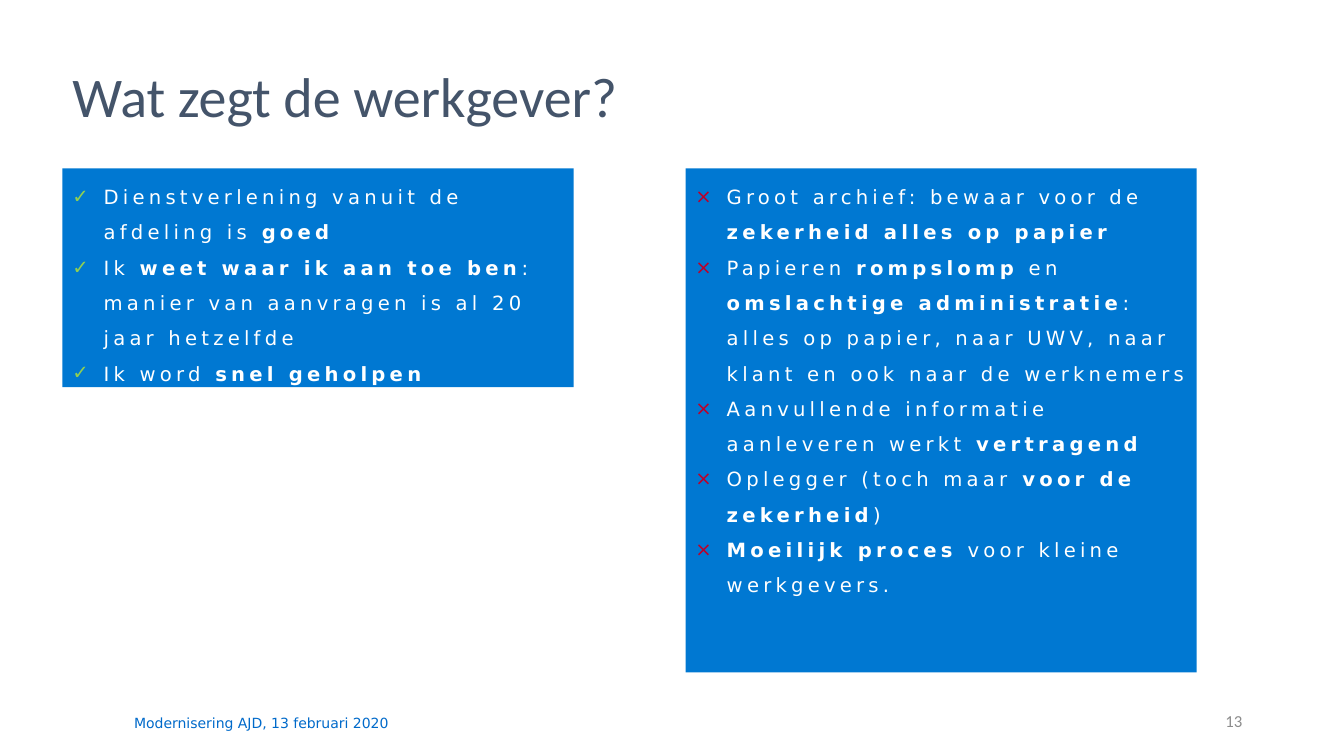
from dataclasses import dataclass

from lxml.etree import SubElement
from pptx import Presentation
from pptx.dml.color import RGBColor
from pptx.enum.shapes import MSO_SHAPE
from pptx.enum.text import MSO_ANCHOR, PP_ALIGN
from pptx.oxml.ns import qn
from pptx.slide import Slide
from pptx.text.text import TextFrame, _Paragraph
from pptx.util import Emu, Pt

SCALE = 9144  # EMU in one px, 100 px to the inch


@dataclass(frozen=True)
class Theme:
    title: str = "44546A"
    panel: str = "0078D2"
    text: str = "FFFFFF"
    good: str = "92D050"
    bad: str = "BE0028"
    foot: str = "006ACA"
    page: str = "8C8C8C"
    head_font: str = "Calibri"
    body_font: str = "DejaVu Sans"
    title_size: int = 40
    body_size: int = 14
    foot_size: int = 10
    page_size: int = 12
    track: int = 300  # letter spacing, hundredths of a point


THEME = Theme()


@dataclass(frozen=True)
class Box:
    x: int
    y: int
    w: int
    h: int

    def emu(self) -> tuple[Emu, ...]:
        return tuple(px(n) for n in (self.x, self.y, self.w, self.h))


@dataclass(frozen=True)
class Style:
    font: str
    size: int
    color: str


@dataclass(frozen=True)
class Run:
    text: str
    bold: bool = False


@dataclass(frozen=True)
class Label:
    box: Box
    text: str
    style: Style
    align: PP_ALIGN = PP_ALIGN.LEFT
    inset: bool = True
    line: float = 1.0


@dataclass(frozen=True)
class Panel:
    box: Box
    mark: str
    color: str
    items: list[list[Run]]


def px(n: int) -> Emu:
    return Emu(n * SCALE)


def add_run(para: _Paragraph, run: Run, style: Style, track: int = 0) -> None:
    part = para.add_run()
    part.text = run.text
    font = part.font
    font.name, font.size, font.bold = style.font, Pt(style.size), run.bold
    font.color.rgb = RGBColor.from_string(style.color)
    if track:
        font._element.set("spc", str(track))


def add_mark(para: _Paragraph, mark: str, color: str) -> None:
    props = para._p.get_or_add_pPr()
    props.set("marL", str(px(31)))
    props.set("indent", str(-px(31)))
    tint = SubElement(props, qn("a:buClr"))
    SubElement(tint, qn("a:srgbClr")).set("val", color)
    SubElement(props, qn("a:buFont")).set("typeface", THEME.body_font)
    SubElement(props, qn("a:buChar")).set("char", mark)


def set_frame(frame: TextFrame, anchor: MSO_ANCHOR) -> None:
    frame.word_wrap = True
    frame.vertical_anchor = anchor


def draw_label(slide: Slide, label: Label) -> None:
    frame = slide.shapes.add_textbox(*label.box.emu()).text_frame
    set_frame(frame, MSO_ANCHOR.MIDDLE)
    if not label.inset:
        frame.margin_left = frame.margin_right = 0
        frame.margin_top = frame.margin_bottom = 0
    para = frame.paragraphs[0]
    para.alignment = label.align
    para.line_spacing = label.line
    add_run(para, Run(label.text), label.style)


def draw_panel(slide: Slide, panel: Panel) -> None:
    shape = slide.shapes.add_shape(MSO_SHAPE.RECTANGLE, *panel.box.emu())
    shape.shadow.inherit = False
    shape.fill.solid()
    shape.fill.fore_color.rgb = RGBColor.from_string(THEME.panel)
    shape.line.fill.background()
    frame = shape.text_frame
    set_frame(frame, MSO_ANCHOR.TOP)
    style = Style(THEME.body_font, THEME.body_size, THEME.text)
    for i, item in enumerate(panel.items):
        para = frame.add_paragraph() if i else frame.paragraphs[0]
        add_mark(para, panel.mark, panel.color)
        para.alignment = PP_ALIGN.LEFT
        para.line_spacing = 1.5
        for run in item:
            add_run(para, run, style, THEME.track)


# Points for and against
PANELS = [
    Panel(Box(62, 167, 507, 217), "✓", THEME.good, [
        [Run("Dienstverlening vanuit de afdeling is "), Run("goed", True)],
        [Run("Ik "), Run("weet waar ik aan toe ben", True),
         Run(": manier van aanvragen is al 20 jaar hetzelfde")],
        [Run("Ik word "), Run("snel geholpen", True)],
    ]),
    Panel(Box(680, 167, 507, 500), "×", THEME.bad, [
        [Run("Groot archief: bewaar voor de "),
         Run("zekerheid alles op papier", True)],
        [Run("Papieren "), Run("rompslomp", True), Run(" en "),
         Run("omslachtige administratie", True),
         Run(": alles op papier, naar UWV, naar klant en ook naar de werknemers")],
        [Run("Aanvullende informatie aanleveren werkt "),
         Run("vertragend", True)],
        [Run("Oplegger (toch maar "), Run("voor de zekerheid", True), Run(")")],
        [Run("Moeilijk proces", True), Run(" voor kleine werkgevers.")],
    ]),
]

# Title, footer and page number
LABELS = [
    Label(Box(62, 31, 1208, 135), "Wat zegt de werkgever?",
          Style(THEME.head_font, THEME.title_size, THEME.title), line=0.9),
    Label(Box(133, 697, 755, 40), "Modernisering AJD, 13 februari 2020",
          Style(THEME.body_font, THEME.foot_size, THEME.foot), inset=False),
    Label(Box(942, 695, 300, 40), "13",
          Style(THEME.head_font, THEME.page_size, THEME.page),
          PP_ALIGN.RIGHT),
]


def main() -> None:
    deck = Presentation()
    deck.slide_width, deck.slide_height = px(1333), px(750)
    slide = deck.slides.add_slide(deck.slide_layouts[6])
    for label in LABELS:
        draw_label(slide, label)
    for panel in PANELS:
        draw_panel(slide, panel)
    deck.save("out.pptx")


if __name__ == "__main__":
    main()
